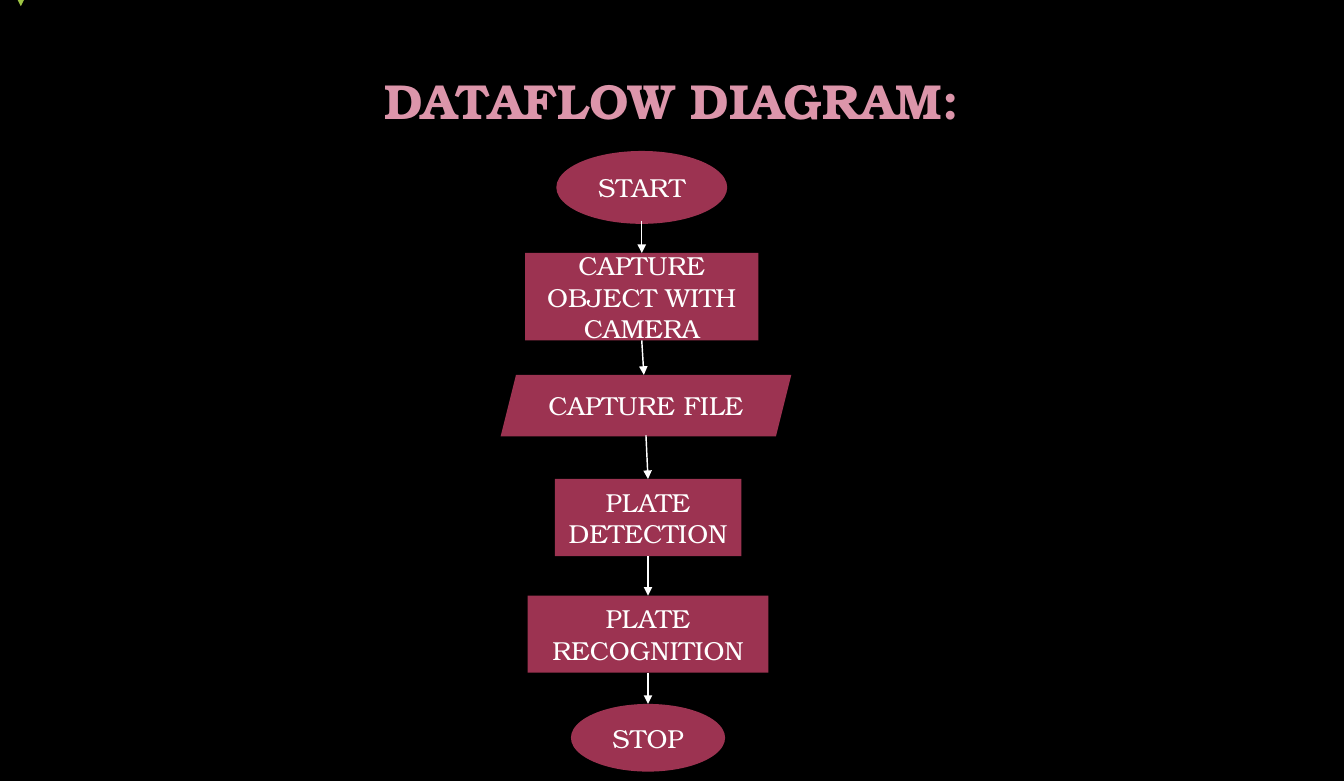
from lxml.etree import SubElement
from pptx import Presentation
from pptx.dml.color import RGBColor
from pptx.enum.shapes import MSO_CONNECTOR, MSO_SHAPE
from pptx.enum.text import MSO_ANCHOR, PP_ALIGN
from pptx.oxml.ns import qn
from pptx.util import Inches, Pt

BLACK = RGBColor(0x00, 0x00, 0x00)
WHITE = RGBColor(0xFF, 0xFF, 0xFF)
PINK = RGBColor(0xDC, 0x95, 0xAA)
MAROON = RGBColor(0x9C, 0x33, 0x51)
GREEN = RGBColor(0x9E, 0xC5, 0x44)
FONT = "TeX Gyre Bonum"

deck = Presentation()
deck.slide_width, deck.slide_height = Inches(12.9), Inches(7.5)
slide = deck.slides.add_slide(deck.slide_layouts[6])
slide.background.fill.solid()
slide.background.fill.fore_color.rgb = BLACK

# Grid of 129 columns by 75 rows
COL = deck.slide_width / 129
ROW = deck.slide_height / 75


def write(shape, text, size, color, bold=False):
    frame = shape.text_frame
    frame.word_wrap = True
    frame.vertical_anchor = MSO_ANCHOR.MIDDLE
    paragraph = frame.paragraphs[0]
    paragraph.text = text
    paragraph.alignment = PP_ALIGN.CENTER
    paragraph.font.name = FONT
    paragraph.font.size = Pt(size)
    paragraph.font.bold = bold
    paragraph.font.color.rgb = color
    return paragraph


def add_arrow(x1, y1, x2, y2, color):
    arrow = slide.shapes.add_connector(
        MSO_CONNECTOR.STRAIGHT,
        round(x1 * COL), round(y1 * ROW), round(x2 * COL), round(y2 * ROW))
    arrow.line.color.rgb = color
    arrow.line.width = Pt(1)
    SubElement(arrow.line._get_or_add_ln(), qn("a:tailEnd"), type="triangle")
    SubElement(arrow._element.spPr, qn("a:effectLst"))
    return arrow


# Title
title = slide.shapes.add_textbox(
    round(9.7 * COL), round(2.6 * ROW), round(109.5 * COL), round(14.7 * ROW))
write(title, "DATAFLOW DIAGRAM:", 34, PINK, bold=True).line_spacing = 0.9

# Steps: text, outline, centre column, top row, columns wide, rows high
steps = [
    ("START", MSO_SHAPE.OVAL, 61.6, 14.5, 16.4, 7),
    ("CAPTURE OBJECT WITH CAMERA", MSO_SHAPE.RECTANGLE, 61.6, 24.3, 22.4, 8.4),
    ("CAPTURE FILE", MSO_SHAPE.PARALLELOGRAM, 62, 36, 27.9, 5.9),
    ("PLATE DETECTION", MSO_SHAPE.RECTANGLE, 62.2, 46, 17.9, 7.4),
    ("PLATE RECOGNITION", MSO_SHAPE.RECTANGLE, 62.2, 57.2, 23.1, 7.4),
    ("STOP", MSO_SHAPE.OVAL, 62.2, 67.6, 14.8, 6.5),
]
boxes = []
for text, outline, center, top, width, height in steps:
    box = slide.shapes.add_shape(
        outline, round((center - width / 2) * COL), round(top * ROW),
        round(width * COL), round(height * ROW))
    box.shadow.inherit = False
    box.fill.solid()
    box.fill.fore_color.rgb = MAROON
    box.line.fill.background()
    write(box, text, 18, WHITE)
    boxes.append(box)

# Flow from each step to the next, joined where a rectangle is met
arrow_ends = [
    (61.6, 21.2, 61.6, 24.3),
    (61.6, 32.7, 61.8, 36),
    (62, 41.8, 62.2, 46),
    (62.2, 53.4, 62.2, 57.2),
    (62.2, 64.6, 62.2, 67.6),
]
for ends, upper, lower in zip(arrow_ends, boxes, boxes[1:]):
    flow = add_arrow(*ends, WHITE)
    if upper.auto_shape_type == MSO_SHAPE.RECTANGLE:
        flow.begin_connect(upper, 2)
    if lower.auto_shape_type == MSO_SHAPE.RECTANGLE:
        flow.end_connect(lower, 0)

# Small green arrow in the corner
add_arrow(2, 0, 2, 0.6, GREEN)

deck.save("out.pptx")
